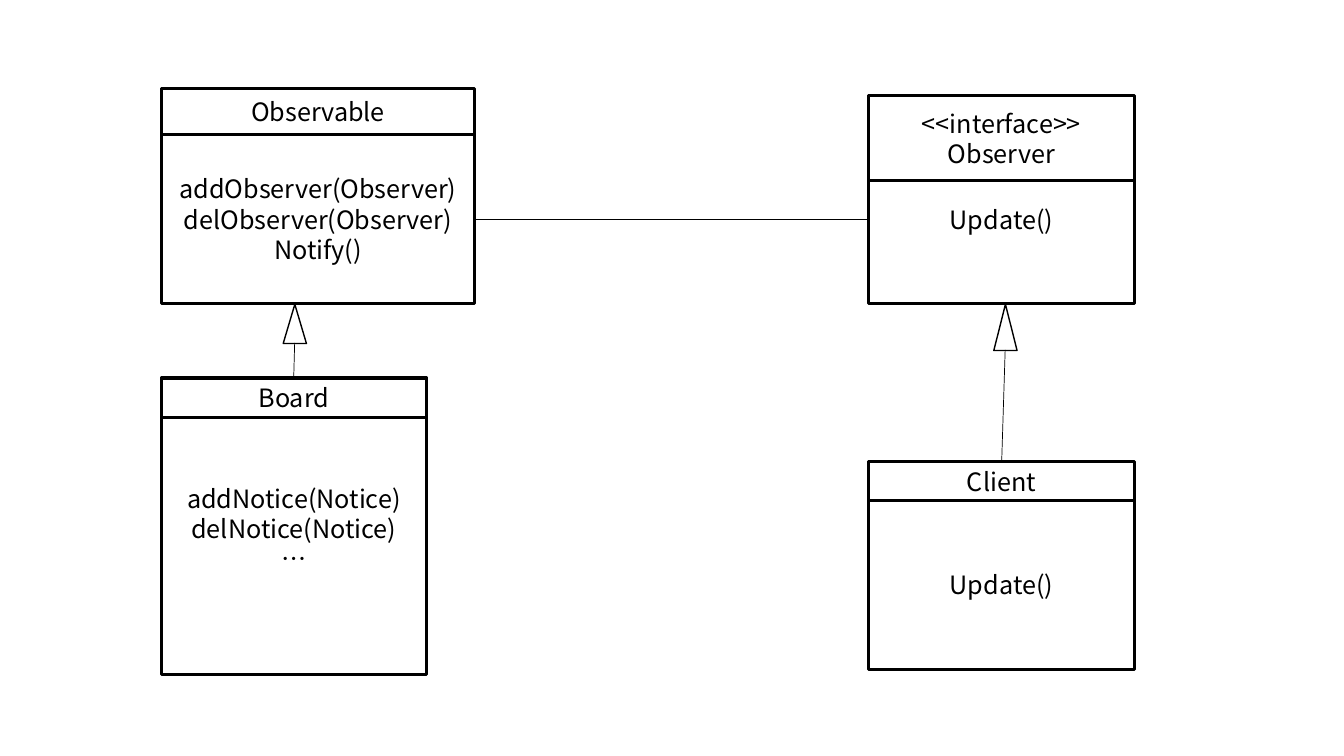
from lxml import etree
from pptx import Presentation
from pptx.dml.color import RGBColor
from pptx.enum.shapes import MSO_CONNECTOR, MSO_SHAPE
from pptx.enum.text import MSO_ANCHOR, PP_ALIGN
from pptx.oxml.ns import qn
from pptx.util import Pt

BLACK = RGBColor(0, 0, 0)
WHITE = RGBColor(255, 255, 255)
FONT = "Noto Sans CJK KR"
RECTANGLE = MSO_SHAPE.RECTANGLE
TRIANGLE = MSO_SHAPE.ISOSCELES_TRIANGLE
STRAIGHT = MSO_CONNECTOR.STRAIGHT
MIDDLE = MSO_ANCHOR.MIDDLE
CENTER = PP_ALIGN.CENTER
TEXT_FORMAT = {"size": Pt(18), "name": FONT}

deck = Presentation()
deck.slide_width, deck.slide_height = Pt(960), Pt(540)
page = deck.slides.add_slide(deck.slide_layouts[6])


def add_outline(kind, left, top, width, height, weight):
    shape = page.shapes.add_shape(kind, Pt(left), Pt(top), Pt(width), Pt(height))
    shape.shadow.inherit = False
    shape.fill.solid()
    shape.fill.fore_color.rgb = WHITE
    shape.line.color.rgb = BLACK
    shape.line.width = Pt(weight)
    return shape


def add_compartment(left, top, width, height, lines):
    box = add_outline(RECTANGLE, left, top, width, height, 2.25)
    frame = box.text_frame
    frame.word_wrap = True
    frame.vertical_anchor = MIDDLE
    for index, line in enumerate(lines):
        para = frame.paragraphs[0] if index == 0 else frame.add_paragraph()
        para.alignment = CENTER
        span = para.add_run()
        span.text = line
        span.font.color.rgb = BLACK
        for attribute, value in TEXT_FORMAT.items():
            setattr(span.font, attribute, value)
        # East Asian face, used for the ellipsis
        properties = span.font._element
        etree.SubElement(properties, qn("a:ea")).set("typeface", FONT)


# Classes: left, width, (header top, height), (body top, height), header, methods
classes = [
    (115.2, 224, (63.4, 33), (95.8, 121.2), ["Observable"],
     ["addObserver(Observer)", "delObserver(Observer)", "Notify()"]),
    (620.6, 189.5, (68.4, 60.5), (95.8, 121.2),
     ["<<interface>>", "Observer"], ["Update()"]),
    (115.2, 189.5, (270, 28), (273, 208.8), ["Board"],
     ["addNotice(Notice)", "delNotice(Notice)", "…"]),
    (620.6, 189.5, (329.8, 28), (357.1, 121.2), ["Client"], ["Update()"]),
]
for left, width, header, body, name, methods in classes:
    add_compartment(left, body[0], width, body[1], methods)
    add_compartment(left, header[0], width, header[1], name)

# Inheritance arrowheads
for left, height in [(202.3, 28), (709.9, 33)]:
    add_outline(TRIANGLE, left, 217.4, 16.6, height, 1)

# Two inheritance stems and the association
links = [
    (210.5, 245, 209.8, 270),
    (718, 250, 715.5, 329.8),
    (339.2, 156.8, 620.6, 156.8),
]
for link in links:
    connector = page.shapes.add_connector(STRAIGHT, *map(Pt, link))
    connector.line.color.rgb = BLACK
    connector.line.width = Pt(0.5)
    etree.SubElement(connector._element.spPr, qn("a:effectLst"))

deck.save("out.pptx")
